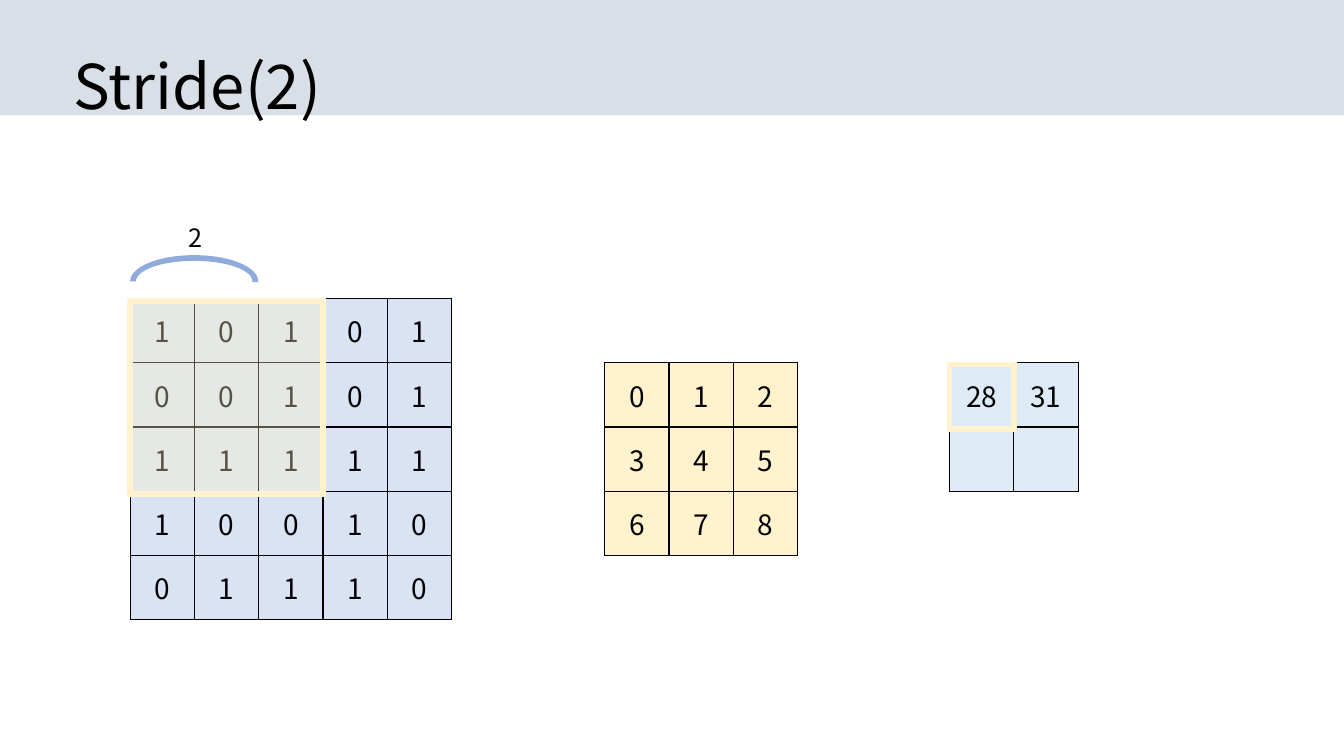
from lxml.etree import SubElement as Sub
from pptx import Presentation
from pptx.dml.color import RGBColor as Rgb
from pptx.enum.shapes import MSO_SHAPE as Kind
from pptx.enum.text import MSO_ANCHOR as Anchor, MSO_AUTO_SIZE as Auto, PP_ALIGN as Align
from pptx.oxml.ns import qn
from pptx.util import Cm, Pt

FONT = "Noto Sans CJK KR"
BLACK = Rgb(0x00, 0x00, 0x00)
NAVY = Rgb(0x00, 0x2C, 0x62)
BLUE = Rgb(0xDA, 0xE3, 0xF3)
CREAM = Rgb(0xFF, 0xF2, 0xCC)
PALE = Rgb(0xDE, 0xEB, 0xF7)
ARC = Rgb(0x8F, 0xAA, 0xDC)
PLAIN = "{2D5ABB26-0587-4C30-8999-92F81FD0307C}"
WIDE, HIGH = 33.87, 19.05
CELL = 1.62

INPUT = ["10101", "00101", "11111", "10010", "01110"]
KERNEL = ["012", "345", "678"]
OUTPUT = [["28", "31"], ["", ""]]
WINDOW = [[""] * 3] * 3


def write(frame, text, size=20, align=Align.LEFT, space=None):
    par = frame.paragraphs[0]
    par.alignment = align
    par.line_spacing = space
    run = par.add_run()
    run.text = text
    run.font.size = Pt(size)
    run.font.name = FONT
    run.font.color.rgb = BLACK


def paint(fill, color, alpha=100):
    fill.solid()
    fill.fore_color.rgb = color
    if alpha < 100:
        tint = fill._xPr.find(qn("a:solidFill"))[0]
        Sub(tint, qn("a:alpha"), val=str(alpha * 1000))


def edge(cell, sides, color, width):
    props = cell._tc.get_or_add_tcPr()
    for side in sides:
        line = Sub(props, qn("a:ln" + side), w=str(Pt(width)))
        solid = Sub(line, qn("a:solidFill"))
        Sub(solid, qn("a:srgbClr"), val=str(color))


def table(slide, left, top, size, rows):
    count, span = len(rows), Cm(size * len(rows))
    grid = slide.shapes.add_table(count, count, Cm(left), Cm(top), span, span).table
    grid.first_row = grid.horz_banding = False
    grid._tbl.tblPr.find(qn("a:tableStyleId")).text = PLAIN
    for row in grid.rows:
        row.height = Cm(size)
    for col in grid.columns:
        col.width = Cm(size)
    return grid


def matrix(slide, left, top, rows, color):
    grid = table(slide, left, top, CELL, rows)
    for r, row in enumerate(rows):
        for c, text in enumerate(row):
            cell = grid.cell(r, c)
            cell.vertical_anchor = Anchor.MIDDLE
            cell.margin_left = cell.margin_right = Cm(0.28)
            cell.margin_top = cell.margin_bottom = Cm(0.14)
            edge(cell, "LRTB", BLACK, 1)
            paint(cell.fill, color)
            if text:
                write(cell.text_frame, text, align=Align.CENTER)


def window(slide, left, top, size, alpha=0):
    grid = table(slide, left, top, size, WINDOW)
    last = len(WINDOW) - 1
    for r in range(last + 1):
        for c in range(last + 1):
            cell = grid.cell(r, c)
            cell.margin_left = cell.margin_right = 0
            cell.margin_top = cell.margin_bottom = 0
            rim = {"L": c == 0, "R": c == last, "T": r == 0, "B": r == last}
            edge(cell, [side for side in rim if rim[side]], CREAM, 4.5)
            if alpha:
                paint(cell.fill, CREAM, alpha)
            else:
                cell.fill.background()
            Sub(cell.text_frame.paragraphs[0]._p, qn("a:endParaRPr"), sz="400")


def shape(slide, kind, left, top, width, height, color, alpha=100):
    item = slide.shapes.add_shape(kind, Cm(left), Cm(top), Cm(width), Cm(height))
    item.shadow.inherit = False
    item.line.fill.background()
    paint(item.fill, color, alpha)
    return item


def header(slide, left, top, width, height):
    band = shape(slide, Kind.RECTANGLE, left, top, width, height, NAVY, 15)
    slide.shapes._spTree.insert(2, band._element)
    title = slide.shapes.title
    title.left, title.top = Cm(left + 1.6), Cm(top + 0.41)
    title.width, title.height = Cm(29.21), Cm(3.68)
    frame = title.text_frame
    frame.auto_size = Auto.NONE
    frame.vertical_anchor = Anchor.MIDDLE
    write(frame, "Stride(2)", size=44, space=0.9)


def stride(slide, left, top, width, height):
    arc = shape(slide, Kind.BLOCK_ARC, left, top + 0.94, width, height, ARC)
    for i, value in enumerate((108, 0.466, 0.11)):
        arc.adjustments[i] = value
    label = slide.shapes.add_textbox(Cm(left + 1.22), Cm(top), Cm(1.12), Cm(1.02))
    label.text_frame.word_wrap = True
    write(label.text_frame, "2", size=18)


def main():
    deck = Presentation()
    deck.slide_width, deck.slide_height = Cm(WIDE), Cm(HIGH)
    slide = deck.slides.add_slide(deck.slide_layouts[5])
    header(slide, 0, 0, WIDE, 2.9)
    matrix(slide, 3.28, 7.52, INPUT, BLUE)
    matrix(slide, 15.24, 9.14, KERNEL, CREAM)
    matrix(slide, 23.93, 9.14, OUTPUT, PALE)
    window(slide, 3.28, 7.59, CELL, alpha=34)
    window(slide, 23.93, 9.19, CELL / 3)
    stride(slide, 3.28, 5.49, 3.23, 1.32)
    deck.save("out.pptx")


if __name__ == "__main__":
    main()
